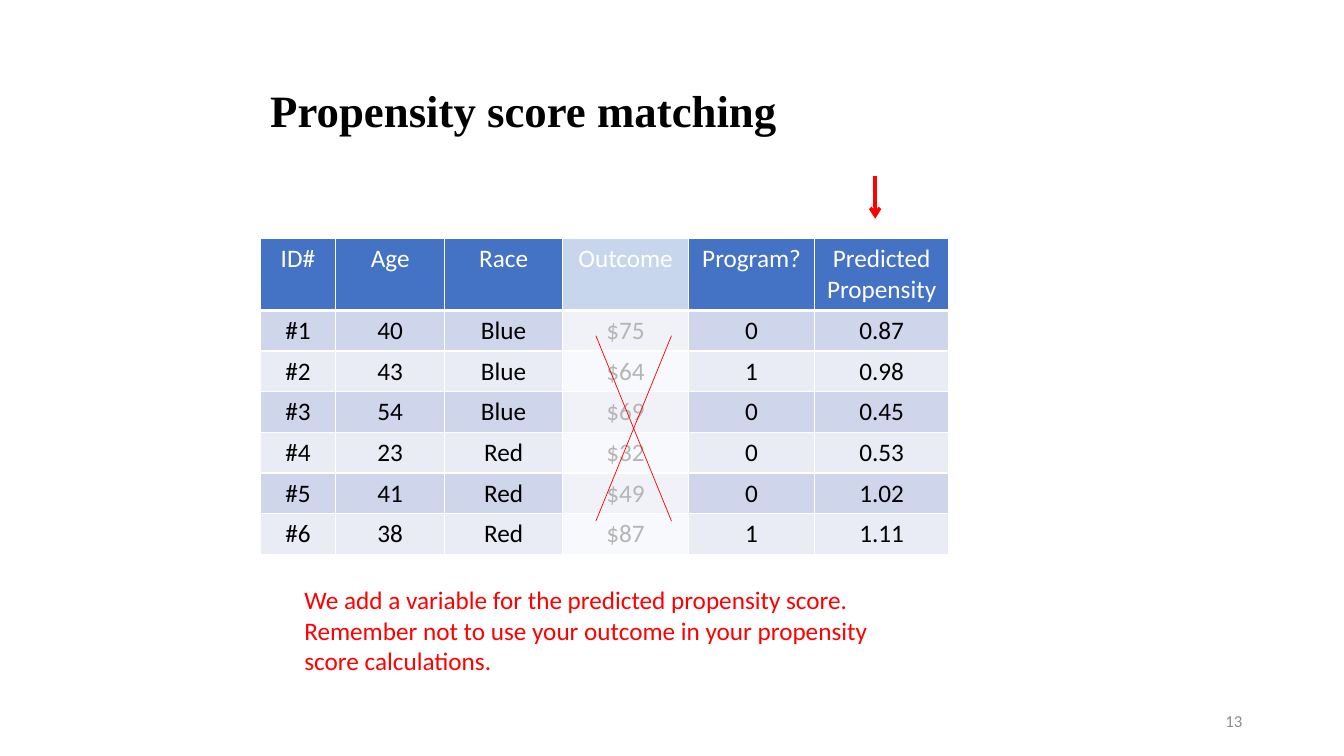
from dataclasses import dataclass

from lxml import etree
from pptx import Presentation
from pptx.dml.color import RGBColor
from pptx.enum.shapes import MSO_CONNECTOR, MSO_SHAPE
from pptx.enum.text import MSO_ANCHOR, PP_ALIGN
from pptx.oxml.ns import qn
from pptx.util import Inches, Pt

LEFT, CENTER, RIGHT = PP_ALIGN.LEFT, PP_ALIGN.CENTER, PP_ALIGN.RIGHT
TOP, MIDDLE, BOTTOM = MSO_ANCHOR.TOP, MSO_ANCHOR.MIDDLE, MSO_ANCHOR.BOTTOM
STRAIGHT = MSO_CONNECTOR.STRAIGHT
RECTANGLE = MSO_SHAPE.RECTANGLE

TITLE = "Propensity score matching"
NOTE = ("We add a variable for the predicted propensity score. "
        "Remember not to use your outcome in your propensity score calculations.")
PAGE = "13"
ROWS = [
    ("ID#", "Age", "Race", "Outcome", "Program?", "Predicted\vPropensity"),
    ("#1", "40", "Blue", "$75", "0", "0.87"),
    ("#2", "43", "Blue", "$64", "1", "0.98"),
    ("#3", "54", "Blue", "$69", "0", "0.45"),
    ("#4", "23", "Red", "$32", "0", "0.53"),
    ("#5", "41", "Red", "$49", "0", "1.02"),
    ("#6", "38", "Red", "$87", "1", "1.11"),
]
COL_WIDTHS = (0.75, 1.08, 1.17, 1.25, 1.25, 1.33)
TABLE_LEFT, TABLE_TOP, TABLE_HEIGHT, HEADER_HEIGHT = 2.58, 2.37, 3.13, 0.71
CROSS_LEFT, CROSS_TOP, CROSS_RIGHT, CROSS_BOTTOM = 5.91, 3.33, 6.66, 5.17


@dataclass(frozen=True)
class Theme:
    body_font: str = "Calibri"
    title_font: str = "Times New Roman"
    black: str = "000000"
    white: str = "FFFFFF"
    gray: str = "8C8C8C"
    red: str = "FF0000"
    header: str = "4472C4"
    bands: tuple = ("CFD5EA", "E9EBF5")
    title_size: int = 32
    body_size: int = 18
    page_size: int = 12


THEME = Theme()


def write(tf, text, size=THEME.body_size, color=THEME.black, font=THEME.body_font,
          bold=False, align=LEFT, anchor=TOP, spacing=1.0):
    tf.word_wrap = True
    tf.vertical_anchor = anchor
    tf.text = text
    p = tf.paragraphs[0]
    p.alignment = align
    p.line_spacing = spacing
    p.space_before = Pt(0)
    for r in p.runs:
        r.font.name = font
        r.font.size = Pt(size)
        r.font.bold = bold
        r.font.color.rgb = RGBColor.from_string(color)


def add_text(s, box, text, **fmt):
    sp = s.shapes.add_textbox(*map(Inches, box))
    write(sp.text_frame, text, **fmt)


def add_line(s, ends, width, arrow=False):
    ln = s.shapes.add_connector(STRAIGHT, *map(Inches, ends))
    ln.line.color.rgb = RGBColor.from_string(THEME.red)
    ln.line.width = Pt(width)
    if arrow:
        etree.SubElement(ln.line._get_or_add_ln(), qn("a:tailEnd"), type="arrow")
    etree.SubElement(ln._element.spPr, qn("a:effectLst"))


def add_borders(cell, bottom):
    tcPr = cell._tc.get_or_add_tcPr()
    edges = (("a:lnL", 1), ("a:lnR", 1), ("a:lnT", 1), ("a:lnB", bottom))
    for i, (tag, width) in enumerate(edges):
        ln = etree.Element(qn(tag), w=str(Pt(width)))
        fill = etree.SubElement(ln, qn("a:solidFill"))
        etree.SubElement(fill, qn("a:srgbClr"), val=THEME.white)
        tcPr.insert(i, ln)


def add_scores(s):
    box = (TABLE_LEFT, TABLE_TOP, sum(COL_WIDTHS), TABLE_HEIGHT)
    table = s.shapes.add_table(len(ROWS), len(COL_WIDTHS), *map(Inches, box)).table
    for col, width in zip(table.columns, COL_WIDTHS):
        col.width = Inches(width)
    row_height = (TABLE_HEIGHT - HEADER_HEIGHT) / (len(ROWS) - 1)
    for i, values in enumerate(ROWS):
        is_header = i == 0
        table.rows[i].height = Inches(HEADER_HEIGHT if is_header else row_height)
        fill = THEME.header if is_header else THEME.bands[(i - 1) % 2]
        for j, value in enumerate(values):
            cell = table.cell(i, j)
            write(cell.text_frame, value, align=CENTER,
                  color=THEME.white if is_header else THEME.black)
            cell.fill.solid()
            cell.fill.fore_color.rgb = RGBColor.from_string(fill)
            add_borders(cell, bottom=3 if is_header else 1)


def add_veil(s, box, opacity):
    sp = s.shapes.add_shape(RECTANGLE, *map(Inches, box))
    sp.shadow.inherit = False
    sp.line.fill.background()
    sp.fill.solid()
    sp.fill.fore_color.rgb = RGBColor.from_string(THEME.white)
    color = sp._element.spPr.find(qn("a:solidFill")).find(qn("a:srgbClr"))
    etree.SubElement(color, qn("a:alpha"), val=str(opacity * 1000))


def main():
    prs = Presentation()
    prs.slide_width, prs.slide_height = Inches(13.33), Inches(7.5)
    s = prs.slides.add_slide(prs.slide_layouts[5])

    title = s.shapes.title
    title.left, title.top = Inches(2.58), Inches(0.33)
    title.width, title.height = Inches(6.83), Inches(1.08)
    write(title.text_frame, TITLE, size=THEME.title_size, font=THEME.title_font,
          bold=True, anchor=BOTTOM, spacing=0.9)

    add_text(s, (9.42, 6.95, 3, 0.4), PAGE, size=THEME.page_size,
             color=THEME.gray, align=RIGHT, anchor=MIDDLE)
    add_scores(s)
    add_text(s, (2.92, 5.75, 6.08, 1.01), NOTE, color=THEME.red)
    add_line(s, (8.68, 1.75, 8.68, 2.17), 2.5, arrow=True)

    outcome = ROWS[0].index("Outcome")
    outcome_left = TABLE_LEFT + sum(COL_WIDTHS[:outcome])
    add_veil(s, (outcome_left, 1.96, COL_WIDTHS[outcome], 3.79), opacity=71)
    add_line(s, (CROSS_RIGHT, CROSS_TOP, CROSS_LEFT, CROSS_BOTTOM), 0.5)
    add_line(s, (CROSS_LEFT, CROSS_TOP, CROSS_RIGHT, CROSS_BOTTOM), 0.5)
    prs.save("out.pptx")


if __name__ == "__main__":
    main()
